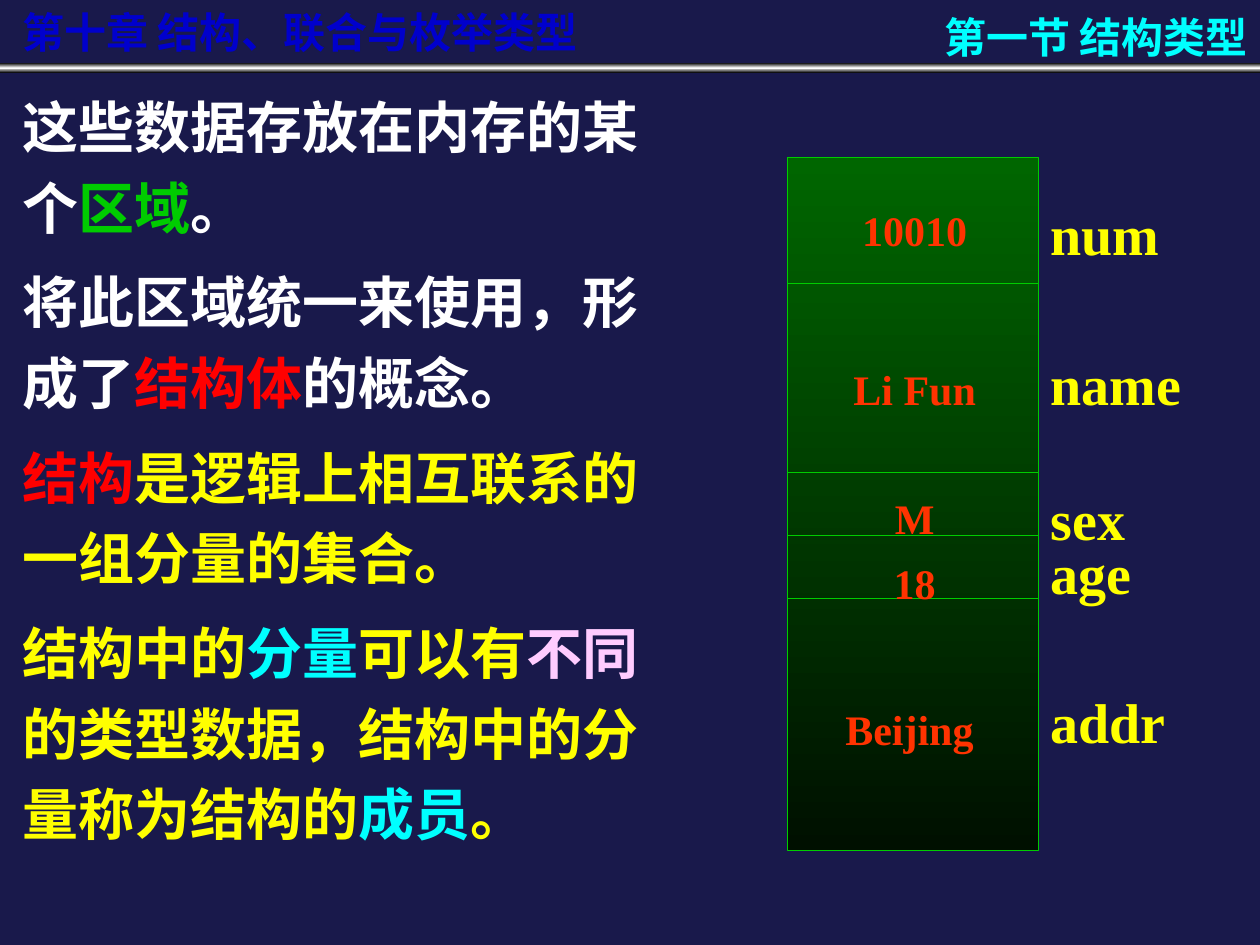
"""Build a slide on structure types with a memory layout diagram."""
from copy import deepcopy

from lxml import etree
from pptx import Presentation
from pptx.dml.color import RGBColor
from pptx.enum.shapes import MSO_CONNECTOR, MSO_SHAPE
from pptx.enum.text import MSO_ANCHOR, PP_ALIGN
from pptx.oxml.ns import qn
from pptx.util import Cm, Pt

RECT, LINE = MSO_SHAPE.RECTANGLE, MSO_CONNECTOR.STRAIGHT
TOP, MID, LOW = MSO_ANCHOR.TOP, MSO_ANCHOR.MIDDLE, MSO_ANCHOR.BOTTOM
LEFT, CENTER, RIGHT = PP_ALIGN.LEFT, PP_ALIGN.CENTER, PP_ALIGN.RIGHT
HAN, SANS, SERIF = "Noto Sans CJK SC", "Arial", "Times New Roman"

COLORS = {
    "back": "19194B", "black": "000000", "shine": "FEFEFE", "shade": "808080",
    "blue": "0000CC", "white": "FFFFFF", "green": "00CC00", "red": "FF0000",
    "yellow": "FFFF00", "cyan": "00FFFF", "pink": "FFCCFF", "orange": "FF3300",
    "leaf": "006600", "dark": "001000",
}
TITLE = "第十章 结构、联合与枚举类型"
SECTION = "第一节 结构类型"
BODY = [
    (SANS, [("这些数据存放在内存的某个", "white"), ("区域", "green"), ("。", "white")]),
    (SANS, [("将此区域统一来使用，形成了", "white"), ("结构体", "red"),
            ("的概念。", "white")]),
    (HAN, [("结构", "red"), ("是逻辑上相互联系的一组分量的集合。", "yellow")]),
    (HAN, [("结构中的", "yellow"), ("分量", "cyan"), ("可以有", "yellow"),
           ("不同", "pink"), ("的类型数据，结构中的分量称为结构的", "yellow"),
           ("成员", "cyan"), ("。", "yellow")]),
]
TAGS = [("num", 0, 1.05), ("name", 45, 1.05), ("sex", 37, 1.05),
        ("age", 0, 0.8), ("addr", 45, 1.05)]
VALUES = [("10010", 0, 1.05), ("Li Fun", 61, 1.05), ("M", 43.5, 1.05),
          ("18", 7, 1.05), ("Beijing ", 53, 1.05)]
CELLS = [2.54, 3.81, 1.27, 1.27, 5.08]
MEM_X, MEM_Y, MEM_W = 15.88, 3.18, 5.05


def rgb(name):
    return RGBColor.from_string(COLORS[name])


def style(run, size, face, color):
    font = run.font
    font.size, font.bold, font.name = Pt(size), True, face
    font.color.rgb = rgb(color)
    etree.SubElement(font._element, qn("a:ea"), typeface=HAN)


def add_box(slide, place, paras, size, align=LEFT, anchor=TOP):
    box = slide.shapes.add_textbox(*map(Cm, place))
    frame = box.text_frame
    frame.word_wrap, frame.vertical_anchor = True, anchor
    for i, (face, runs, gap, ratio) in enumerate(paras):
        para = frame.paragraphs[0] if i == 0 else frame.add_paragraph()
        para.alignment, para.line_spacing = align, ratio
        para.space_before = Pt(gap if i else 0)
        for text, color in runs:
            run = para.add_run()
            run.text = text
            style(run, size, face, color)
    return box


def add_block(slide, place, names):
    block = slide.shapes.add_shape(RECT, *map(Cm, place))
    block.shadow.inherit = False
    block.line.fill.background()
    block.fill.gradient()
    block.fill.gradient_angle = 270
    stops = block._element.spPr.find(".//" + qn("a:gsLst"))
    while len(stops) < len(names):
        stops.append(deepcopy(stops[-1]))
    for i, (stop, name) in enumerate(zip(block.fill.gradient_stops, names)):
        stop.color.rgb = rgb(name)
        stop.position = i / (len(names) - 1)
    return block


def edge(line):
    line.color.rgb, line.width = rgb("green"), Pt(0.75)


def add_shade(box):
    props = box.text_frame.paragraphs[0].runs[0].font._element
    effect = etree.Element(qn("a:effectLst"))
    shade = etree.SubElement(effect, qn("a:outerShdw"),
                             dist="25400", dir="2700000")
    etree.SubElement(shade, qn("a:srgbClr"), val=COLORS["shade"])
    props.find(qn("a:solidFill")).addnext(effect)


def add_memory(slide):
    place = (MEM_X, MEM_Y, MEM_W, sum(CELLS))
    edge(add_block(slide, place, ["leaf", "dark"]).line)
    y = MEM_Y
    for high in CELLS[:-1]:
        y += high
        rule = slide.shapes.add_connector(
            LINE, Cm(MEM_X), Cm(y), Cm(MEM_X + MEM_W), Cm(y))
        edge(rule.line)
        etree.SubElement(rule._element.spPr, qn("a:effectLst"))


def column(rows, color):
    return [(SERIF, [(text, color)], gap, ratio) for text, gap, ratio in rows]


def main():
    deck = Presentation()
    deck.slide_width, deck.slide_height = Cm(25.4), Cm(19.05)
    slide = deck.slides.add_slide(deck.slide_layouts[6])
    slide.background.fill.solid()
    slide.background.fill.fore_color.rgb = rgb("back")

    add_block(slide, (0, 1.27, 25.4, 0.2), ["black", "shine", "black"])
    title = add_box(slide, (0.2, 0.2, 12.7, 1.07),
                    [(HAN, [(TITLE, "blue")], 0, 1.0)], 24, anchor=LOW)
    add_shade(title)
    add_box(slide, (0.2, 1.47, 13.77, 16.94),
            [(face, runs, 8, 1.2) for face, runs in BODY], 32)
    add_box(slide, (MEM_X + MEM_W, 3.84, 3.3, 11.4), column(TAGS, "yellow"), 32)
    add_memory(slide)
    add_box(slide, (16.79, 3.94, 3.3, 11.23), column(VALUES, "orange"), 24, CENTER)
    add_box(slide, (15.44, 0, 9.96, 1.47),
            [(HAN, [(SECTION, "cyan")], 0, 1.0)], 24, RIGHT, MID)
    deck.save("out.pptx")


if __name__ == "__main__":
    main()
